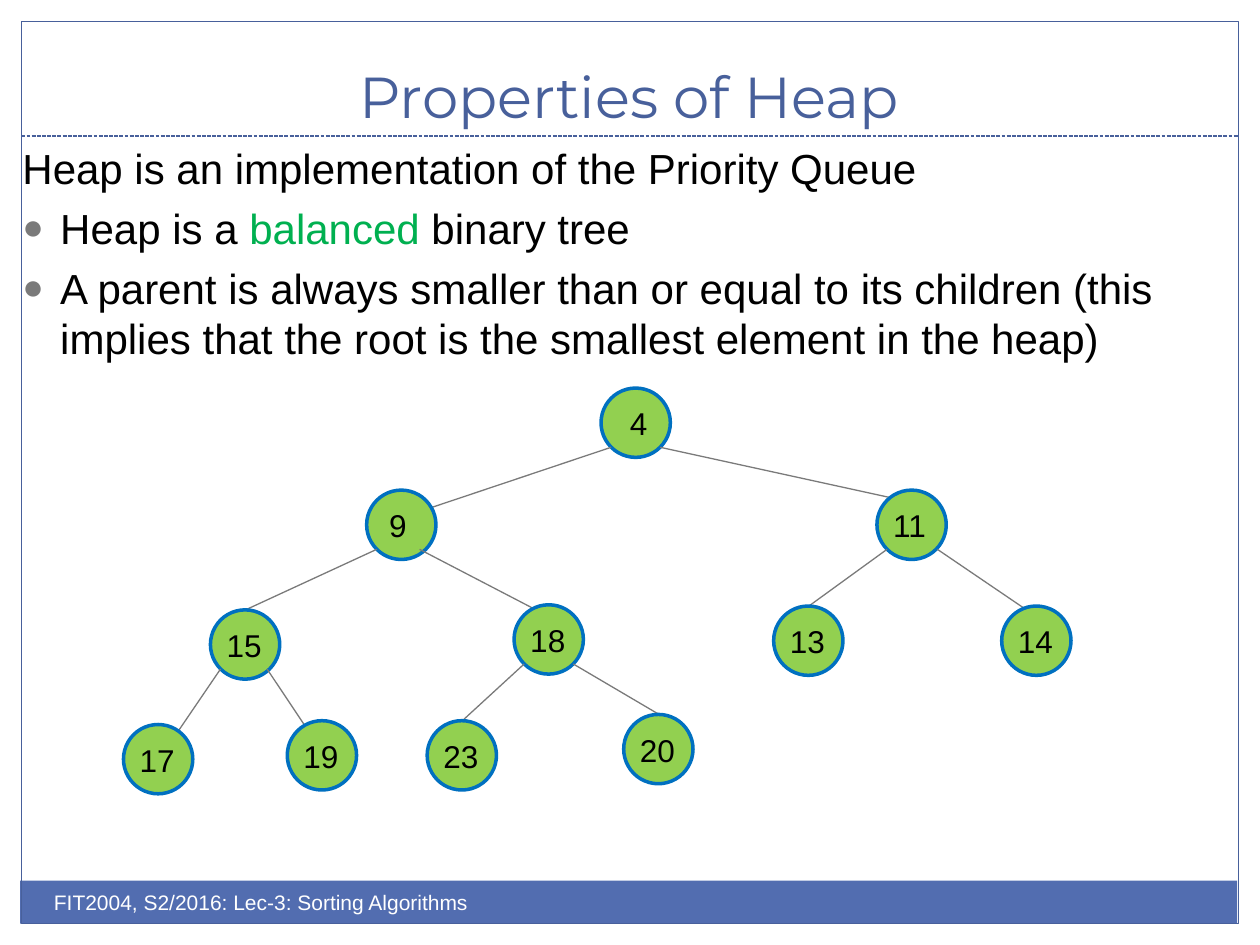
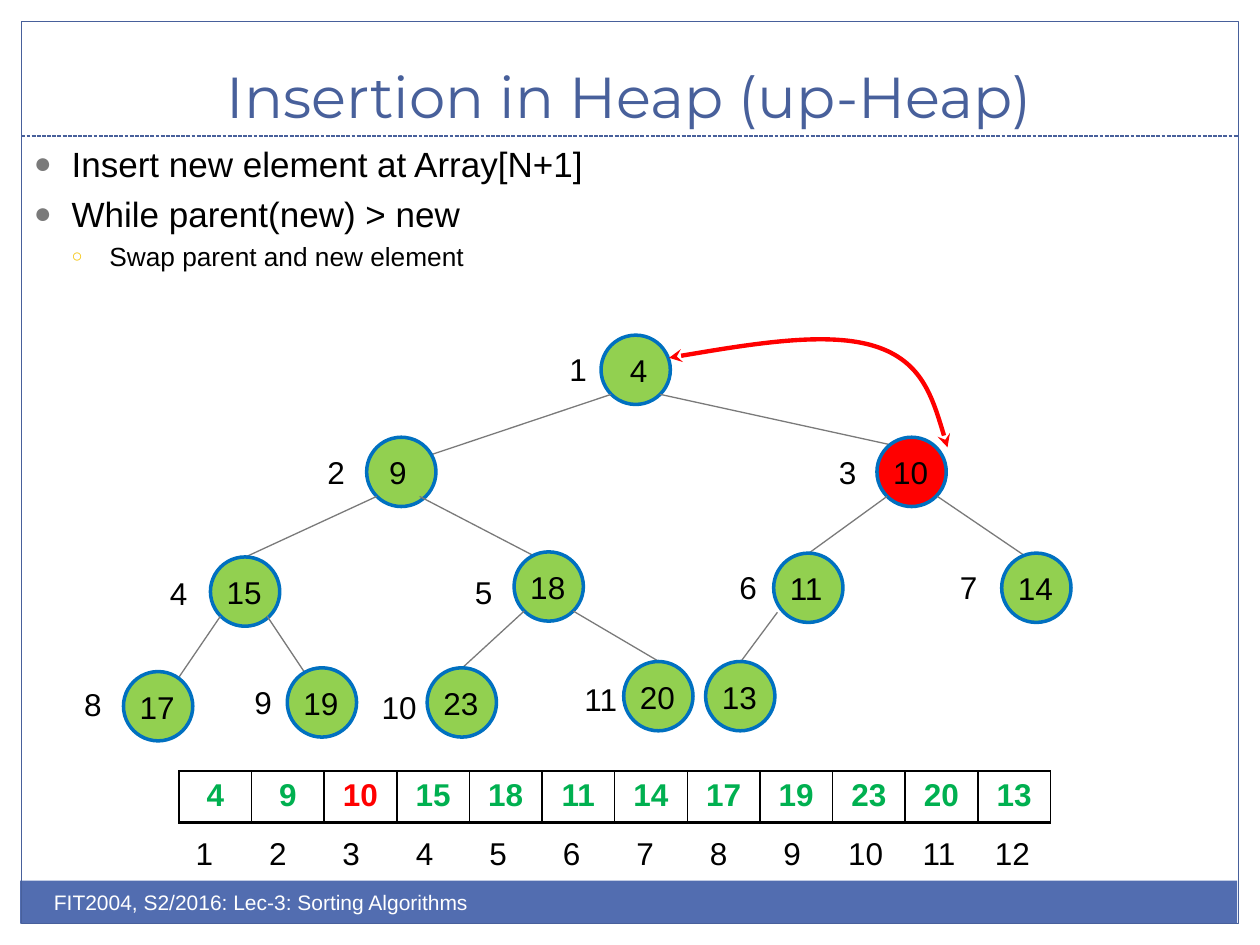
from dataclasses import dataclass
from typing import NamedTuple, Optional

from lxml.etree import SubElement
from pptx import Presentation
from pptx.dml.color import RGBColor
from pptx.enum.dml import MSO_LINE
from pptx.enum.shapes import MSO_CONNECTOR, MSO_SHAPE
from pptx.enum.text import MSO_ANCHOR, MSO_AUTO_SIZE, PP_ALIGN
from pptx.oxml.ns import qn
from pptx.util import Inches, Pt


@dataclass(frozen=True)
class Theme:
    frame: str = "48609B"
    band: str = "526DB0"
    white: str = "FFFFFF"
    black: str = "000000"
    gray: str = "7A7A7A"
    gold: str = "F5C201"
    node: str = "92D050"
    node_line: str = "0070C0"
    green: str = "00B050"
    red: str = "FF0000"
    title_font: str = "Montserrat"
    body_font: str = "Arial"
    title_size: int = 33
    footer_size: int = 12
    label_size: int = 18


THEME = Theme()
FOOTER = "FIT2004, S2/2016: Lec-3: Sorting Algorithms"
NO_TABLE_STYLE = "{2D5ABB26-0587-4C30-8999-92F81FD0307C}"
NODE_SIZE = 0.55
EXIT_Y = 0.47


class Span(NamedTuple):
    text: str
    size: float
    color: str = THEME.black
    font: str = THEME.body_font
    bold: bool = False


class Bullet(NamedTuple):
    mark: str
    color: str
    percent: int
    level: int


class BodyLine(NamedTuple):
    spans: list[Span]
    bullet: Optional[Bullet] = None


class Slot(NamedTuple):
    """A heap position; exit and entry are offsets of the edge from its parent."""
    left: float
    top: float
    exit_x: float = 0.08
    entry_x: float = 0.28
    entry_y: float = 0.0
    label_x: float = 0.03


class Offset(NamedTuple):
    x: float
    y: float


DOT = Bullet("●", THEME.gray, 85, 0)
RING = Bullet("○", THEME.gold, 70, 1)

# Heap order: the parent of slot k is slot k // 2.
SLOTS = [
    Slot(4.77, 3.08, label_x=0.13),
    Slot(2.91, 3.89, 0.08, 0.27, 0.22, label_x=0.08),
    Slot(6.96, 3.89, 0.47, 0.2, 0.08),
    Slot(1.67, 4.84),
    Slot(4.08, 4.8, 0.42, 0.27, 0.09),
    Slot(6.14, 4.81),
    Slot(7.95, 4.81, 0.48, 0.27, 0.08),
    Slot(0.98, 5.75, 0.08, 0.28, 0.28),
    Slot(2.28, 5.72, 0.45, 0.28, 0.25),
    Slot(3.39, 5.72),
    Slot(4.95, 5.67, 0.47),
    Slot(5.6, 5.67, 0.03),
]
INDEX_OFFSETS = [
    Offset(-0.35, 0.07), Offset(-0.41, 0.08), Offset(-0.4, 0.08), Offset(-0.42, 0.09),
    Offset(-0.41, 0.12), Offset(-0.37, 0.07), Offset(-0.43, 0.07), Offset(-0.41, 0.06),
    Offset(-0.36, 0.07), Offset(-0.46, 0.11), Offset(-0.41, 0.1),
]


def rgb(color: str) -> RGBColor:
    return RGBColor.from_string(color)


def add_span(para, span: Span) -> None:
    run = para.add_run()
    run.text = span.text
    run.font.size = Pt(span.size)
    run.font.name = span.font
    run.font.bold = span.bold
    run.font.color.rgb = rgb(span.color)


def add_text(shapes, left: float, top: float, width: float, height: float, span: Span,
             align=PP_ALIGN.LEFT, anchor=MSO_ANCHOR.TOP):
    box = shapes.add_textbox(Inches(left), Inches(top), Inches(width), Inches(height))
    frame = box.text_frame
    frame.word_wrap = True
    frame.vertical_anchor = anchor
    frame.paragraphs[0].alignment = align
    add_span(frame.paragraphs[0], span)
    return box


def add_label(shapes, left: float, top: float, text: str) -> None:
    box = add_text(shapes, left, top, 0.2 + 0.14 * len(text), 0.4, Span(text, THEME.label_size))
    box.text_frame.word_wrap = False
    box.text_frame.auto_size = MSO_AUTO_SIZE.SHAPE_TO_FIT_TEXT


def add_line(page, start: tuple[float, float], end: tuple[float, float], color: str):
    line = page.shapes.add_connector(
        MSO_CONNECTOR.STRAIGHT, *(Inches(value) for value in (*start, *end)))
    line.line.color.rgb = rgb(color)
    line.line.width = Pt(0.75)
    SubElement(line._element.spPr, qn("a:effectLst"))
    return line


def add_shape(shapes, kind, left: float, top: float, width: float, height: float,
              fill: Optional[str] = None, outline: Optional[str] = None, weight: float = 0.75):
    shape = shapes.add_shape(kind, Inches(left), Inches(top), Inches(width), Inches(height))
    shape.shadow.inherit = False
    if fill:
        shape.fill.solid()
        shape.fill.fore_color.rgb = rgb(fill)
    else:
        shape.fill.background()
    if outline:
        shape.line.color.rgb = rgb(outline)
        shape.line.width = Pt(weight)
    else:
        shape.line.fill.background()
    return shape


def add_page(deck, title: str):
    """Add a slide with the shared frame, title and footer band."""
    page = deck.slides.add_slide(deck.slide_layouts[6])
    add_shape(page.shapes, MSO_SHAPE.RECTANGLE, 0.16, 6.99, 9.66, 0.34, fill=THEME.band)
    add_shape(page.shapes, MSO_SHAPE.RECTANGLE, 0.17, 0.17, 9.66, 7.16, outline=THEME.frame)
    rule = add_line(page, (0.17, 1.08), (9.83, 1.08), THEME.frame)
    rule.line.dash_style = MSO_LINE.SQUARE_DOT
    add_text(page.shapes, 0.33, 0.25, 9.33, 0.83,
             Span(title, THEME.title_size, THEME.frame, THEME.title_font),
             PP_ALIGN.CENTER, MSO_ANCHOR.BOTTOM)
    add_text(page.shapes, 0.33, 7.01, 5, 0.4, Span(FOOTER, THEME.footer_size, THEME.white))
    return page


def set_bullet(para, bullet: Bullet) -> None:
    para.level = bullet.level
    properties = para._p.get_or_add_pPr()
    properties.set("marL", str(Inches(0.3 * (bullet.level + 1))))
    properties.set("indent", str(Inches(-0.3)))
    color = SubElement(properties, qn("a:buClr"))
    SubElement(color, qn("a:srgbClr"), val=bullet.color)
    SubElement(properties, qn("a:buSzPct"), val=str(bullet.percent * 1000))
    SubElement(properties, qn("a:buFont"), typeface=THEME.body_font)
    SubElement(properties, qn("a:buChar"), char=bullet.mark)


def add_body(page, left: float, width: float, height: float, lines: list[BodyLine]) -> None:
    box = page.shapes.add_textbox(Inches(left), Inches(1.08), Inches(width), Inches(height))
    frame = box.text_frame
    frame.word_wrap = True
    for number, line in enumerate(lines):
        para = frame.add_paragraph() if number else frame.paragraphs[0]
        if number:
            para.space_before = Pt(round(0.23 * line.spans[0].size, 1))
        if line.bullet:
            set_bullet(para, line.bullet)
        for span in line.spans:
            add_span(para, span)


def add_node(page, slot: Slot, top: float, value: str, fill: str) -> None:
    group = page.shapes.add_group_shape()
    add_shape(group.shapes, MSO_SHAPE.OVAL, slot.left, top, NODE_SIZE, NODE_SIZE,
              fill, THEME.node_line, 2)
    add_label(group.shapes, slot.left + slot.label_x, top + 0.08, value)


def add_heap(page, values: list[str], rise: float = 0, highlight: Optional[str] = None) -> None:
    """Draw each node, then the edges to its children, so later nodes cover edge ends."""
    for number, value in enumerate(values, start=1):
        parent = SLOTS[number - 1]
        fill = THEME.red if value == highlight else THEME.node
        add_node(page, parent, parent.top - rise, value, fill)
        for child in SLOTS[:len(values)][2 * number - 1:2 * number + 1]:
            add_line(page, (parent.left + child.exit_x, parent.top + EXIT_Y - rise),
                     (child.left + child.entry_x, child.top + child.entry_y - rise), THEME.gray)


def set_borders(cell) -> None:
    properties = cell._tc.get_or_add_tcPr()
    for position, (side, weight) in enumerate((("L", 1), ("R", 1), ("T", 1), ("B", 2))):
        border = SubElement(properties, qn(f"a:ln{side}"), w=str(Pt(weight)))
        fill = SubElement(border, qn("a:solidFill"))
        SubElement(fill, qn("a:srgbClr"), val=THEME.black)
        properties.insert(position, border)


def add_row_table(page, left: float, top: float, width: float, spans: list[Span],
                  bordered: bool = False) -> None:
    holder = page.shapes.add_table(1, len(spans), Inches(left), Inches(top),
                                   Inches(width), Inches(0.41))
    table = holder.table
    table.first_row = table.horz_banding = False
    for style in holder._element.iter(qn("a:tableStyleId")):
        style.text = NO_TABLE_STYLE
    for column, span in enumerate(spans):
        cell = table.cell(0, column)
        cell.fill.background()
        if bordered:
            set_borders(cell)
        para = cell.text_frame.paragraphs[0]
        para.alignment = PP_ALIGN.CENTER
        add_span(para, span)


def add_swap_arrow(page) -> None:
    """Draw a double-headed curve; every three points form one Bézier segment."""
    points = [(Inches(x), Inches(y)) for x, y in (
        (7.52, 3.55), (7.42, 3.21), (7.32, 2.87), (6.95, 2.75),
        (6.58, 2.63), (5.95, 2.73), (5.31, 2.84))]
    builder = page.shapes.build_freeform(*points[0])
    builder.add_line_segments(points[1:], close=False)
    arrow = builder.convert_to_shape()
    arrow.shadow.inherit = False
    arrow.fill.background()
    arrow.line.color.rgb = rgb(THEME.red)
    arrow.line.width = Pt(2.5)
    outline = next(arrow._element.iter(qn("a:path")))
    segments = outline.findall(qn("a:lnTo"))
    for first in range(0, len(segments), 3):
        curve = SubElement(outline, qn("a:cubicBezTo"))
        for segment in segments[first:first + 3]:
            curve.append(segment[0])
            outline.remove(segment)
    for end in ("headEnd", "tailEnd"):
        SubElement(arrow.line._get_or_add_ln(), qn(f"a:{end}"), type="stealth")


def build_properties(deck) -> None:
    page = add_page(deck, "Properties of Heap")
    add_body(page, 0.08, 9.83, 2.42, [
        BodyLine([Span("Heap is an implementation of the Priority Queue", 24)]),
        BodyLine([Span("Heap is a ", 24), Span("balanced", 24, THEME.green),
                  Span(" binary tree", 24)], DOT),
        BodyLine([Span("A parent is always smaller than or equal to its children (this "
                       "implies that the root is the smallest element in the heap)", 24)], DOT),
    ])
    add_heap(page, "4 9 11 15 18 13 14 17 19 23 20".split())


def build_insertion(deck) -> None:
    page = add_page(deck, "Insertion in Heap (up-Heap)")
    values = "4 9 10 15 18 11 14 17 19 23 20 13".split()
    moved = "10"
    rise = 0.42
    add_heap(page, values, rise, moved)
    for number, (slot, offset) in enumerate(zip(SLOTS, INDEX_OFFSETS), start=1):
        add_label(page.shapes, slot.left + offset.x, slot.top - rise + offset.y, str(number))
    add_body(page, 0.17, 9.83, 1.87, [
        BodyLine([Span("Insert new element at Array[N+1]", 20)], DOT),
        BodyLine([Span("While parent(new) > new", 20)], DOT),
        BodyLine([Span("Swap parent and new element", 15)], RING),
    ])
    add_row_table(page, 1.42, 6.12, 6.92, [
        Span(value, THEME.label_size, THEME.red if value == moved else THEME.green, bold=True)
        for value in values], bordered=True)
    add_row_table(page, 1.33, 6.59, 7, [
        Span(str(number), THEME.label_size) for number in range(1, len(values) + 1)])
    add_swap_arrow(page)


def main() -> None:
    deck = Presentation()
    deck.slide_width, deck.slide_height = Inches(10), Inches(7.5)
    build_properties(deck)
    build_insertion(deck)
    deck.save("out.pptx")


if __name__ == "__main__":
    main()
